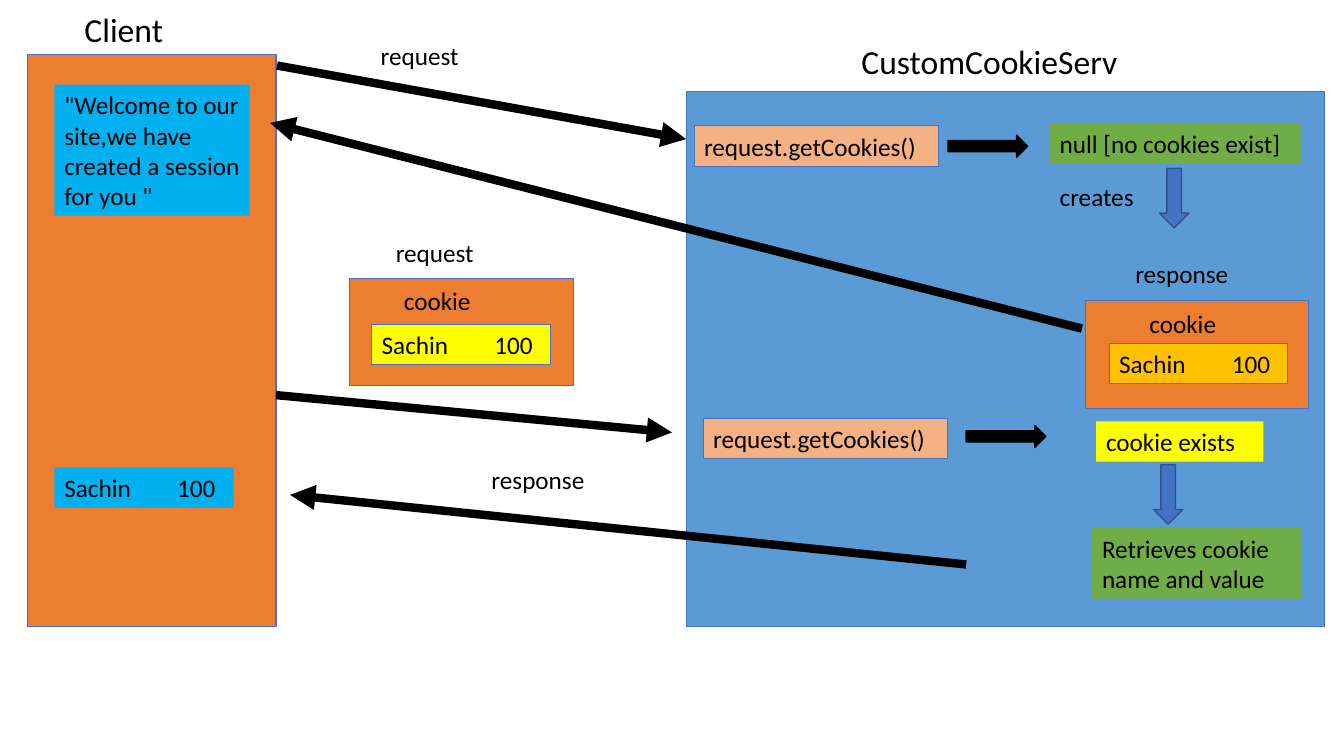
from lxml import etree
from pptx import Presentation
from pptx import util as u
from pptx.dml.color import RGBColor
from pptx.enum import shapes, text
from pptx.oxml import ns

BLACK = RGBColor(0x00, 0x00, 0x00)
BLUE = RGBColor(0x5B, 0x9B, 0xD5)
ORANGE = RGBColor(0xED, 0x7D, 0x31)
PEACH = RGBColor(0xF4, 0xB1, 0x83)
GOLD = RGBColor(0xFF, 0xC0, 0x00)
YELLOW = RGBColor(0xFF, 0xFF, 0x00)
GREEN = RGBColor(0x70, 0xAD, 0x47)
SKY = RGBColor(0x00, 0xB0, 0xF0)
ARROW_BLUE = RGBColor(0x44, 0x72, 0xC4)
ARROW_EDGE = RGBColor(0x2F, 0x52, 0x8F)

# Grid: square cells, ten to the inch
CELL = u.Inches(0.1)
COLUMNS, ROWS = 133.4, 75
ROW_HEIGHT = 4  # one line of 18 pt text with its insets
COOKIE = "Sachin\t100"
VALUE_TAB = 11.2

FRAME = {
    "word_wrap": True,
    "auto_size": text.MSO_AUTO_SIZE.NONE,
    "vertical_anchor": text.MSO_ANCHOR.TOP,
    "margin_left": CELL,
    "margin_right": CELL,
    "margin_top": CELL // 2,
    "margin_bottom": CELL // 2,
}

deck = Presentation()
deck.slide_width, deck.slide_height = int(COLUMNS * CELL), ROWS * CELL
slide = deck.slides.add_slide(deck.slide_layouts[5])


def write(holder, words, size=18):
    frame = holder.text_frame
    for name, value in FRAME.items():
        setattr(frame, name, value)
    paragraph = frame.paragraphs[0]
    paragraph.alignment = text.PP_ALIGN.LEFT
    if "\t" in words:
        stops = etree.SubElement(paragraph._p.get_or_add_pPr(), ns.qn("a:tabLst"))
        etree.SubElement(stops, ns.qn("a:tab"), pos=str(int(VALUE_TAB * CELL)), algn="l")
    run = paragraph.add_run()
    run.text = words
    for name, value in {"name": "Calibri", "size": u.Pt(size)}.items():
        setattr(run.font, name, value)
    run.font.color.rgb = BLACK


def block(preset, cells, fill, edge=None, weight=0.75):
    shape = slide.shapes.add_shape(preset, *[int(n * CELL) for n in cells])
    shape.shadow.inherit = False
    shape.fill.solid()
    shape.fill.fore_color.rgb = fill
    if edge is None:
        shape.line.fill.background()
    else:
        shape.line.color.rgb = edge
        shape.line.width = u.Pt(weight)
    return shape


# Headings of the two sides
servlet = slide.shapes.title
for side, n in zip(("left", "top", "width", "height"), (84.5, 3.6, 36.9, 5)):
    setattr(servlet, side, int(n * CELL))
write(servlet, "CustomCookieServ", 24)

# Servlet and client panels, and the two cookie cards
for cells, fill in (
    ((68.1, 9.1, 63.4, 53.1), BLUE),
    ((2.7, 5.4, 24.7, 56.8), ORANGE),
    ((107.7, 29.8, 22.2, 10.7), ORANGE),
    ((34.7, 27.6, 22.2, 10.7), ORANGE),
):
    block(shapes.MSO_SHAPE.RECTANGLE, cells, fill, ARROW_BLUE)

# Filled boxes with words
for words, left, top, width, lines, fill, edge in (
    (COOKIE, 110.1, 34.1, 17.7, 1, GOLD, ARROW_BLUE),
    (COOKIE, 36.9, 32.2, 17.7, 1, YELLOW, ARROW_BLUE),
    (COOKIE, 5.4, 46.4, 17.8, 1, SKY, None),
    ("request.getCookies()", 68.9, 12.5, 24.3, 1, PEACH, ARROW_BLUE),
    ("request.getCookies()", 69.8, 41.5, 24.3, 1, PEACH, ARROW_BLUE),
    ("null [no cookies exist]", 104.2, 12.2, 24.9, 1, GREEN, None),
    ("cookie exists", 108.8, 41.8, 16.6, 1, YELLOW, None),
    ("Retrieves cookie name and value", 108.4, 52.4, 20.8, 2, GREEN, None),
    ('"Welcome to our site,we have created a session for you "',
     5.4, 8.4, 19.4, 4, SKY, None),
):
    height = ROW_HEIGHT + 3 * (lines - 1)
    write(block(shapes.MSO_SHAPE.RECTANGLE, (left, top, width, height), fill, edge), words)

# Plain labels
for words, left, top, width, size in (
    ("Client", 7.4, 0.4, 18.3, 24),
    ("request", 36.8, 3.5, 11.4, 18),
    ("request", 38.3, 23.1, 13.2, 18),
    ("response", 111.7, 25.1, 13.2, 18),
    ("response", 47.8, 45.6, 14.9, 18),
    ("creates", 104.2, 17.5, 10.4, 18),
    ("cookie", 113.1, 30.1, 13.1, 18),
    ("cookie", 39.1, 27.8, 13.1, 18),
):
    height = ROW_HEIGHT * size / 18
    label = slide.shapes.add_textbox(*[int(n * CELL) for n in (left, top, width, height)])
    write(label, words, size)

# Block arrows between the servlet's steps
for left, top in ((94.1, 13.4), (95.9, 42.2)):
    block(shapes.MSO_SHAPE.RIGHT_ARROW, (left, top, 7.9, 2.2), BLACK, BLACK, 1)
for left, top in ((115.1, 16.7), (114.5, 46.1)):
    block(shapes.MSO_SHAPE.DOWN_ARROW, (left, top, 2.9, 5.9), ARROW_BLUE, ARROW_EDGE, 1)

# Requests and responses between client and servlet
for ends in (
    (27.5, 6.5, 68.1, 13.8),
    (107.4, 32.6, 26.8, 12.2),
    (27.4, 39.2, 66.7, 42.9),
    (95.9, 56, 28.8, 49.1),
):
    message = slide.shapes.add_connector(
        shapes.MSO_CONNECTOR.STRAIGHT, *[int(n * CELL) for n in ends])
    message.line.color.rgb = BLACK
    message.line.width = u.Pt(6)
    etree.SubElement(message.line._get_or_add_ln(), ns.qn("a:tailEnd"), type="triangle")
    etree.SubElement(message._element.spPr, ns.qn("a:effectLst"))

deck.save("out.pptx")
